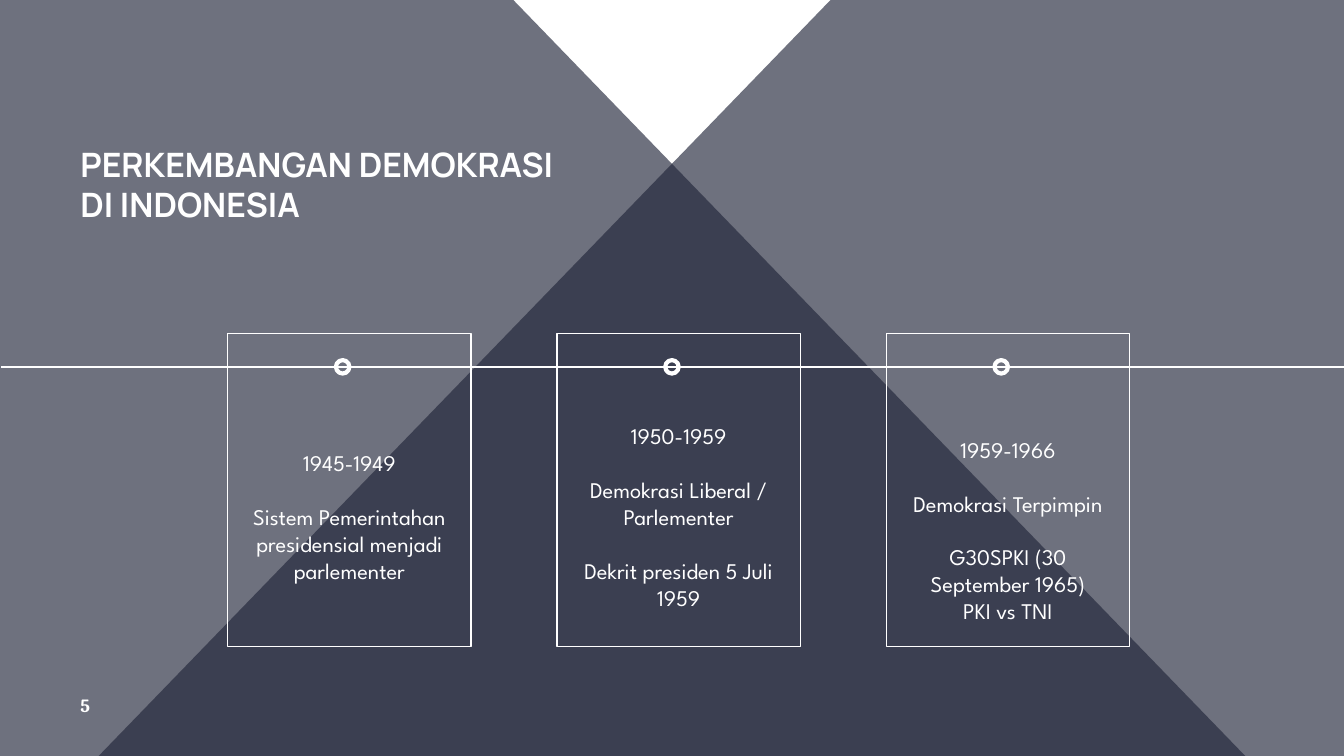
from lxml import etree
from pptx import Presentation
from pptx.dml.color import RGBColor
from pptx.enum.shapes import MSO_CONNECTOR, MSO_SHAPE
from pptx.enum.text import MSO_ANCHOR, PP_ALIGN
from pptx.oxml.ns import qn
from pptx.util import Inches, Pt

WHITE = RGBColor(0xFF, 0xFF, 0xFF)
NAVY = RGBColor(0x21, 0x25, 0x39)
RECTANGLE, OVAL = MSO_SHAPE.RECTANGLE, MSO_SHAPE.OVAL
STRAIGHT = MSO_CONNECTOR.STRAIGHT
MIDDLE, BOTTOM = MSO_ANCHOR.MIDDLE, MSO_ANCHOR.BOTTOM
LEFT, CENTER = PP_ALIGN.LEFT, PP_ALIGN.CENTER

WIDTH = 10
HEIGHT = WIDTH * 9 / 16
TITLE = "PERKEMBANGAN DEMOKRASI DI INDONESIA"
PAGE_NUMBER = "5"

# Each period: extra top inset, then groups of lines set apart by one line.
PERIODS = [
    (0.4, [["1945-1949"],
           ["Sistem Pemerintahan presidensial menjadi parlementer"]]),
    (0.4, [["1950-1959"], ["Demokrasi Liberal / Parlementer"],
           ["Dekrit presiden 5 Juli 1959"]]),
    (0.6, [["1959-1966"], ["Demokrasi Terpimpin"],
           ["G30SPKI (30 September 1965)", "PKI vs TNI"]]),
]
WEDGE = [(6.19, -0.01), (10, 0), (10, 5.63), (0.73, 5.63)]

CARD_CENTER, CARD_TOP, CARD_WIDTH, CARD_HEIGHT = 2.6, 2.48, 1.81, 2.33
STEP = 2.45
TIMELINE_Y = 2.73
MARKER_CENTER, MARKER_SIZE = 2.55, 0.1
GROUP_GAP = Pt(14.4)


def add_wedge(slide, points):
    corners = [(Inches(x), Inches(y)) for x, y in points]
    builder = slide.shapes.build_freeform(*corners[0])
    builder.add_line_segments(corners[1:], close=True)
    wedge = builder.convert_to_shape()
    wedge.shadow.inherit = False
    wedge.fill.solid()
    wedge.fill.fore_color.rgb = NAVY
    wedge.line.fill.background()
    color = wedge._element.spPr.find(qn("a:solidFill")).find(qn("a:srgbClr"))
    etree.SubElement(color, qn("a:alpha")).set("val", "65000")


def add_outline(slide, kind, center, top, width, height, weight):
    shape = slide.shapes.add_shape(
        kind, Inches(center - width / 2), Inches(top),
        Inches(width), Inches(height))
    shape.shadow.inherit = False
    shape.fill.background()
    shape.line.color.rgb = WHITE
    shape.line.width = Pt(weight)
    return shape


def write_groups(shape, groups, font, size, bold=False, align=LEFT,
                 anchor=MIDDLE, extra_top=0):
    frame = shape.text_frame
    frame.word_wrap = True
    frame.vertical_anchor = anchor
    frame.margin_left = frame.margin_right = frame.margin_bottom = Inches(0.1)
    frame.margin_top = Inches(0.1 + extra_top)
    paragraph = frame.paragraphs[0]
    for group_index, group in enumerate(groups):
        for line_index, text in enumerate(group):
            if group_index or line_index:
                paragraph = frame.add_paragraph()
            if group_index and not line_index:
                paragraph.space_before = GROUP_GAP
            paragraph.alignment = align
            run = paragraph.add_run()
            run.text = text
            run.font.name = font
            run.font.size = Pt(size)
            run.font.bold = bold
            run.font.color.rgb = WHITE


def add_label(slide, text, left, top, width, height, font, size, anchor):
    box = slide.shapes.add_textbox(
        Inches(left), Inches(top), Inches(width), Inches(height))
    write_groups(box, [[text]], font, size, bold=True, anchor=anchor)


def add_timeline(slide):
    line = slide.shapes.add_connector(
        STRAIGHT, Inches(WIDTH), Inches(TIMELINE_Y),
        Inches(0.01), Inches(TIMELINE_Y))
    line.line.color.rgb = WHITE
    line.line.width = Pt(0.75)
    etree.SubElement(line._element.spPr, qn("a:effectLst"))
    for index in range(len(PERIODS)):
        add_outline(slide, OVAL, MARKER_CENTER + index * STEP,
                    TIMELINE_Y - MARKER_SIZE / 2,
                    MARKER_SIZE, MARKER_SIZE, 2.25)


def main():
    presentation = Presentation()
    presentation.slide_width = Inches(WIDTH)
    presentation.slide_height = Inches(HEIGHT)
    slide = presentation.slides.add_slide(presentation.slide_layouts[6])
    slide.background.fill.solid()
    slide.background.fill.fore_color.rgb = WHITE

    add_wedge(slide, WEDGE)
    add_wedge(slide, [(WIDTH - x, y) for x, y in WEDGE])
    add_label(slide, TITLE, 0.5, 1.08, 4, 0.69, "Manrope", 18, BOTTOM)
    add_label(slide, PAGE_NUMBER, 0.5, 5.11, 0.6, 0.27, "Cambria", 10, MIDDLE)
    add_timeline(slide)
    for index, (extra_top, groups) in enumerate(PERIODS):
        card = add_outline(slide, RECTANGLE, CARD_CENTER + index * STEP,
                           CARD_TOP, CARD_WIDTH, CARD_HEIGHT, 0.75)
        write_groups(card, groups, "League Spartan", 12, align=CENTER,
                     extra_top=extra_top)
    presentation.save("out.pptx")


if __name__ == "__main__":
    main()
